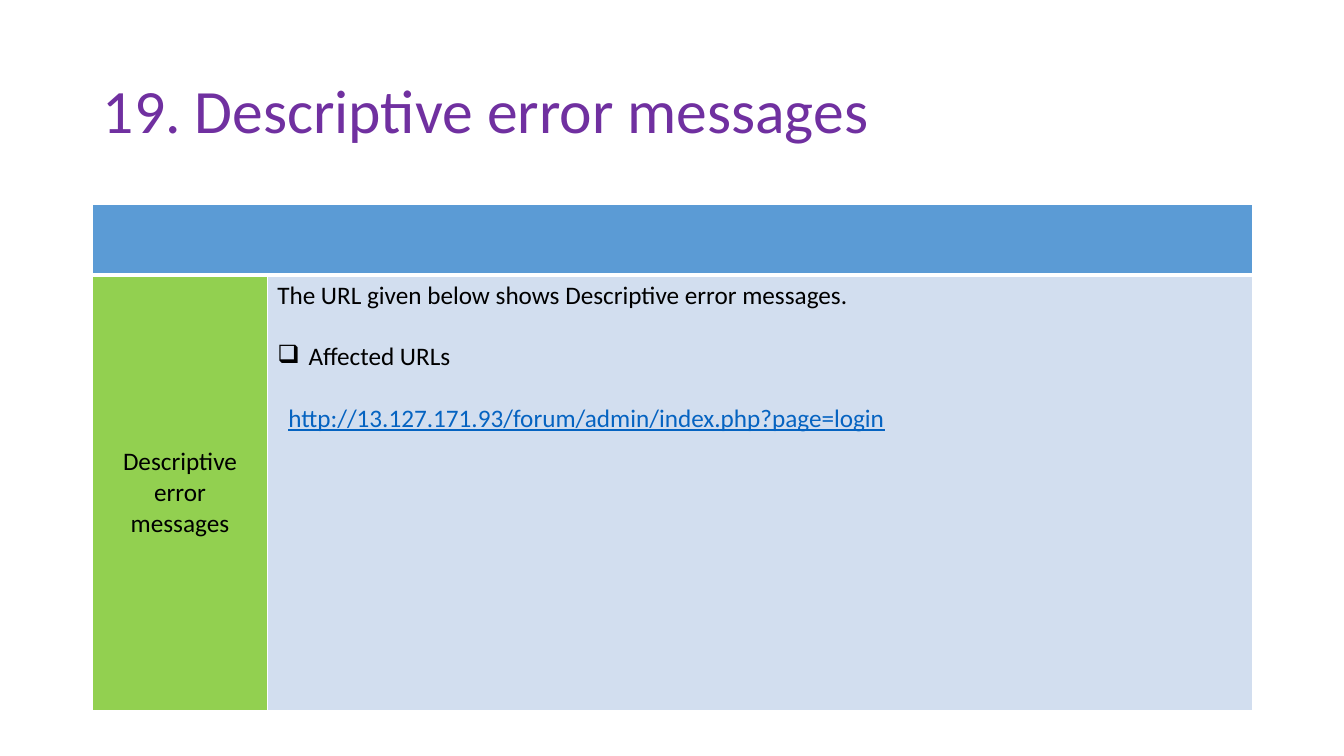
"""Build the slide on descriptive error messages."""
from lxml.etree import SubElement
from pptx import Presentation
from pptx.dml.color import RGBColor
from pptx.enum.text import MSO_ANCHOR, PP_ALIGN
from pptx.oxml.ns import qn
from pptx.util import Inches, Pt

HUES = {"title": "7030A0", "head": "5B9BD5", "label": "92D050", "body": "D2DEEF",
        "text": "000000", "link": "0563C1", "rule": "FFFFFF"}


def write(par, text, size=18, hue="text", align=PP_ALIGN.LEFT, line=1.0,
          before=0, under=None, left=0, mark=None):
    par.alignment, par.line_spacing, par.space_before = align, line, Pt(before)
    run = par.add_run()
    run.text = text
    font = run.font
    font.name, font.size, font.underline = "Calibri", Pt(size), under
    font.color.rgb = RGBColor.from_string(HUES[hue])
    props = par._p.get_or_add_pPr()
    props.set("marL", str(Inches(left)))
    props.set("indent", str(Inches(-left if mark else 0)))
    if mark:
        SubElement(props, qn("a:buChar")).set("char", mark)


def rule(cell, side, width):
    edge = SubElement(cell._tc.get_or_add_tcPr(), qn(f"a:ln{side}"), w=str(Pt(width)))
    fill = SubElement(edge, qn("a:solidFill"))
    SubElement(fill, qn("a:srgbClr"), val=HUES["rule"])


deck = Presentation()
deck.slide_width, deck.slide_height = Inches(13.33), Inches(7.5)
slide = deck.slides.add_slide(deck.slide_layouts[5])

edge, wide = Inches(0.92), Inches(11.5)
title = slide.shapes.title
title.left, title.top, title.width, title.height = edge, Inches(0.4), wide, Inches(1.45)
title.text_frame.vertical_anchor = MSO_ANCHOR.MIDDLE
write(title.text_frame.paragraphs[0], "19. Descriptive error messages",
      size=44, hue="title", line=0.9)

cols, rows = (1.73, 9.77), (0.7, 4.32)
table = slide.shapes.add_table(len(rows), len(cols), edge, Inches(2.03),
                               wide, Inches(sum(rows))).table
for col, span in zip(table.columns, cols):
    col.width = Inches(span)
for row, span in zip(table.rows, rows):
    row.height = Inches(span)

fills = (("head", "head"), ("label", "body"))
for y, names in enumerate(fills):
    for x, name in enumerate(names):
        cell = table.cell(y, x)
        for side in "LRTB":
            thick = (y, side) in ((0, "B"), (1, "T"))
            rule(cell, side, 3 if thick else 1)
        cell.fill.solid()
        cell.fill.fore_color.rgb = RGBColor.from_string(HUES[name])
table.cell(0, 0).merge(table.cell(0, 1))

label = table.cell(1, 0)
label.vertical_anchor = MSO_ANCHOR.MIDDLE
write(label.text_frame.paragraphs[0], "Descriptive error messages", align=PP_ALIGN.CENTER)

body = table.cell(1, 1).text_frame
write(body.paragraphs[0], "The URL given below shows Descriptive error messages.")
write(body.add_paragraph(), "Affected URLs", before=22, left=0.31, mark="❑")
write(body.add_paragraph(), "http://13.127.171.93/forum/admin/index.php?page=login",
      hue="link", under=True, before=22, left=0.11)

deck.save("out.pptx")
